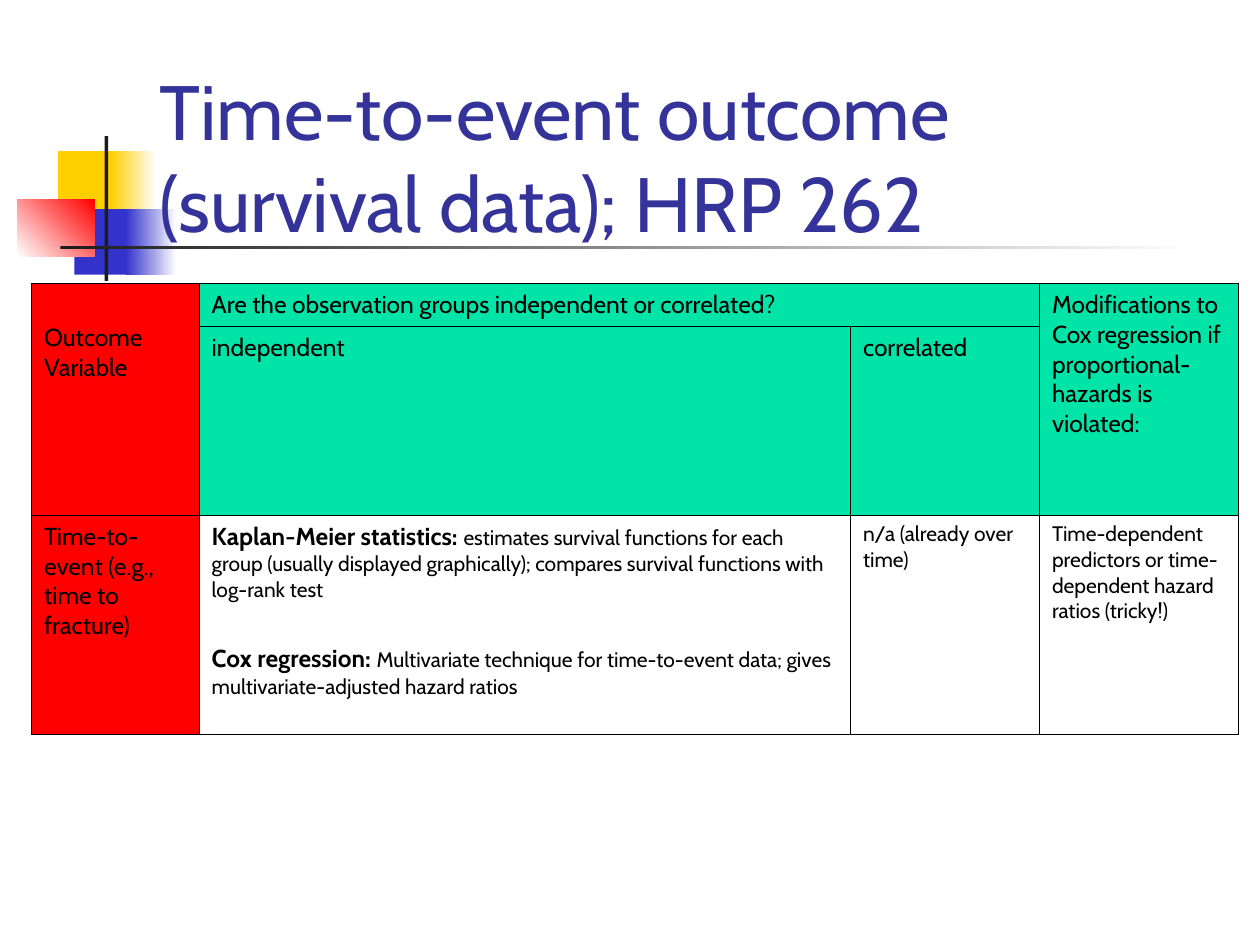
from pptx import Presentation
from pptx.dml.color import RGBColor
from pptx.enum.shapes import MSO_SHAPE
from pptx.enum.text import MSO_ANCHOR
from pptx.oxml import parse_xml
from pptx.oxml.ns import nsdecls
from pptx.util import Inches, Pt

FONT = "Cabin"
COLORS = {
    "title": "333399", "yellow": "FFCF01", "blue": "3333CC", "red": "FF0000",
    "green": "00E4A8", "dark": "1C1C1C", "white": "FFFFFF", "black": "000000",
}
TITLE = "Time-to-event outcome (survival data); HRP 262"

# left, top, width, height, start colour, end colour, gradient angle
ORNAMENTS = [
    (0.46, 1.2, 0.48, 0.52, "yellow", None, 0),
    (0.88, 1.2, 0.36, 0.52, "yellow", "white", 0),
    (0.59, 1.66, 0.46, 0.52, "blue", None, 0),
    (1, 1.66, 0.4, 0.52, "blue", "white", 0),
    (0.14, 1.58, 0.61, 0.46, "white", "red", 45),
    (0.83, 1.08, 0.03, 1.15, "dark", None, 0),
    (0.48, 1.95, 9, 0.03, "dark", "white", 0),
]

COLUMNS = [1.33, 5.17, 1.5, 1.58]
ROWS = [0.34, 1.5, 1.74]
MERGES = [((0, 0), (1, 0)), ((0, 1), (0, 2)), ((0, 3), (1, 3))]
HEAD, BODY = 14, 12
PARAGRAPH_GAP = 23.5
LOWERED_TOP = 0.31
# (row, column): fill, paragraphs of (text, size, bold) spans
CELLS = {
    (0, 0): ("red", [[("Outcome Variable", HEAD, False)]]),
    (0, 1): ("green", [[("Are the observation groups independent or correlated?", HEAD, False)]]),
    (0, 3): ("green", [[("Modifications to Cox regression if proportional-hazards is violated:",
                         HEAD, False)]]),
    (1, 1): ("green", [[("independent", HEAD, False)]]),
    (1, 2): ("green", [[("correlated", HEAD, False)]]),
    (2, 0): ("red", [[("Time-to-event (e.g., time to fracture)", HEAD, False)]]),
    (2, 1): (None, [
        [("Kaplan-Meier statistics: ", HEAD, True),
         ("estimates survival functions for each group (usually displayed graphically); "
          "compares survival functions with log-rank test", BODY, False)],
        [("Cox regression: ", HEAD, True),
         ("Multivariate technique for time-to-event data; gives "
          "multivariate-adjusted hazard ratios", BODY, False)],
    ]),
    (2, 2): (None, [[("n/a (already over time)", BODY, False)]]),
    (2, 3): (None, [[("Time-dependent predictors or time-dependent hazard ratios (tricky!)",
                      BODY, False)]]),
}
INNER_LINE, OUTER_LINE = 0.45, 1.08


def color(name):
    return RGBColor.from_string(COLORS[name])


def style(font, size, name, bold=False):
    font.name, font.size, font.bold = FONT, Pt(size), bold
    font.color.rgb = color(name)


def add_ornament(page, left, top, width, height, start, end, angle):
    shape = page.shapes.add_shape(
        MSO_SHAPE.RECTANGLE, *map(Inches, (left, top, width, height)))
    shape.shadow.inherit = False
    shape.line.fill.background()
    if end is None:
        shape.fill.solid()
        shape.fill.fore_color.rgb = color(start)
        return
    shape.fill.gradient()
    shape.fill.gradient_angle = angle
    for stop, name in zip(shape.fill.gradient_stops, (start, end)):
        stop.color.rgb = color(name)


def add_title(page):
    box = page.shapes.add_textbox(*map(Inches, (1.17, 0.42, 8.52, 1.6)))
    frame = box.text_frame
    frame.word_wrap = True
    frame.vertical_anchor = MSO_ANCHOR.BOTTOM
    paragraph = frame.paragraphs[0]
    paragraph.text = TITLE
    style(paragraph.font, 44, "title")


def set_borders(cell, row, column):
    """Draw thin inner borders and thicker ones along the table's edge."""
    at_edge = {
        "L": column == 0, "R": column == len(COLUMNS) - 1,
        "T": row == 0, "B": row == len(ROWS) - 1,
    }
    properties = cell._tc.get_or_add_tcPr()
    for index, (side, outer) in enumerate(at_edge.items()):
        width = Pt(OUTER_LINE if outer else INNER_LINE)
        properties.insert(index, parse_xml(
            f'<a:ln{side} {nsdecls("a")} w="{width}"><a:solidFill>'
            f'<a:srgbClr val="{COLORS["black"]}"/></a:solidFill></a:ln{side}>'))


def fill_cell(cell, fill, paragraphs):
    if fill:
        cell.fill.solid()
        cell.fill.fore_color.rgb = color(fill)
    else:
        cell.fill.background()
    frame = cell.text_frame
    for index, spans in enumerate(paragraphs):
        paragraph = frame.add_paragraph() if index else frame.paragraphs[0]
        if index:
            paragraph.space_before = Pt(PARAGRAPH_GAP)
        for text, size, bold in spans:
            span = paragraph.add_run()
            span.text = text
            style(span.font, size, "black", bold)


def add_grid(page):
    table = page.shapes.add_table(
        len(ROWS), len(COLUMNS), Inches(0.25), Inches(2.25),
        Inches(sum(COLUMNS)), Inches(sum(ROWS))).table
    table.first_row = table.horz_banding = False
    for column, width in zip(table.columns, COLUMNS):
        column.width = Inches(width)
    for row, height in zip(table.rows, ROWS):
        row.height = Inches(height)
    for first, last in MERGES:
        table.cell(*first).merge(table.cell(*last))
    for row in range(len(ROWS)):
        for column in range(len(COLUMNS)):
            cell = table.cell(row, column)
            cell.text_frame.paragraphs[0].font.size = Pt(BODY)
            fill_cell(cell, *CELLS.get((row, column), (None, [])))
            set_borders(cell, row, column)
    table.cell(0, 0).margin_top = Inches(LOWERED_TOP)


def main():
    deck = Presentation()
    deck.slide_width, deck.slide_height = Inches(10), Inches(7.5)
    page = deck.slides.add_slide(deck.slide_layouts[6])
    for ornament in ORNAMENTS:
        add_ornament(page, *ornament)
    add_title(page)
    add_grid(page)
    deck.save("out.pptx")


if __name__ == "__main__":
    main()
